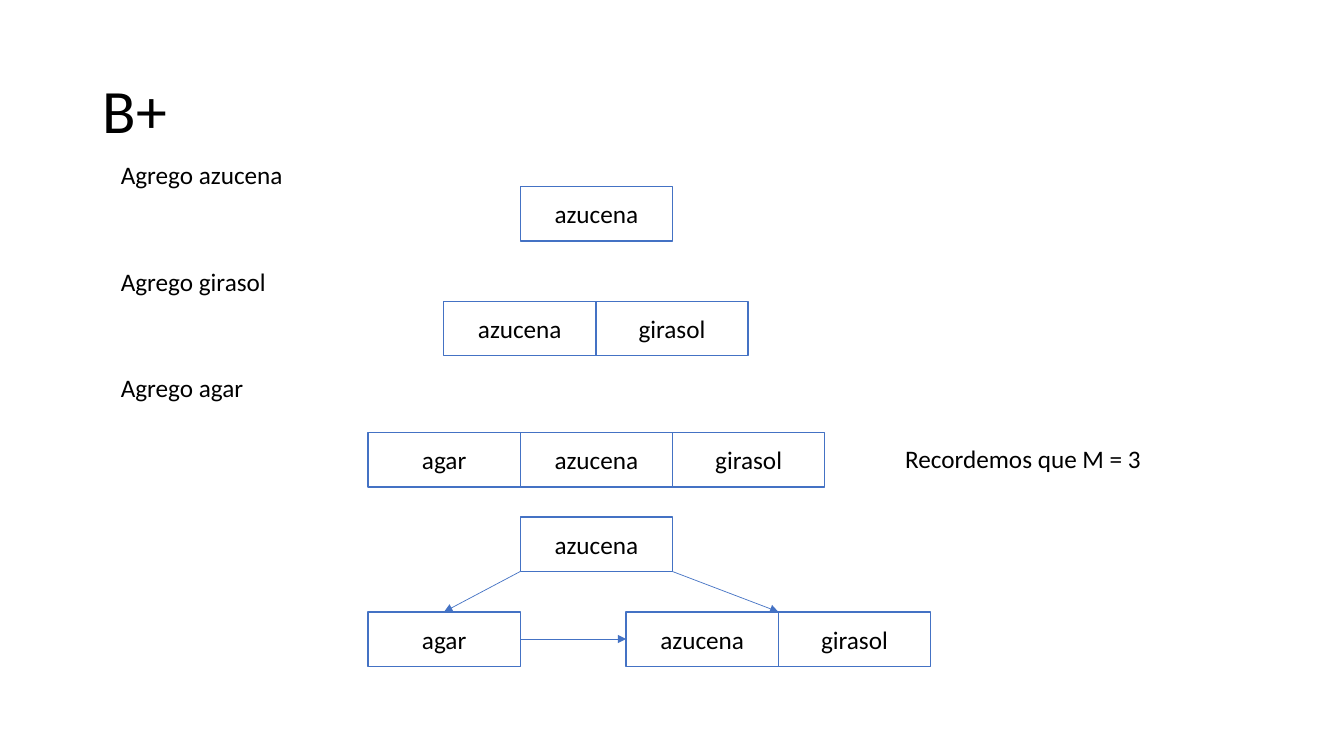
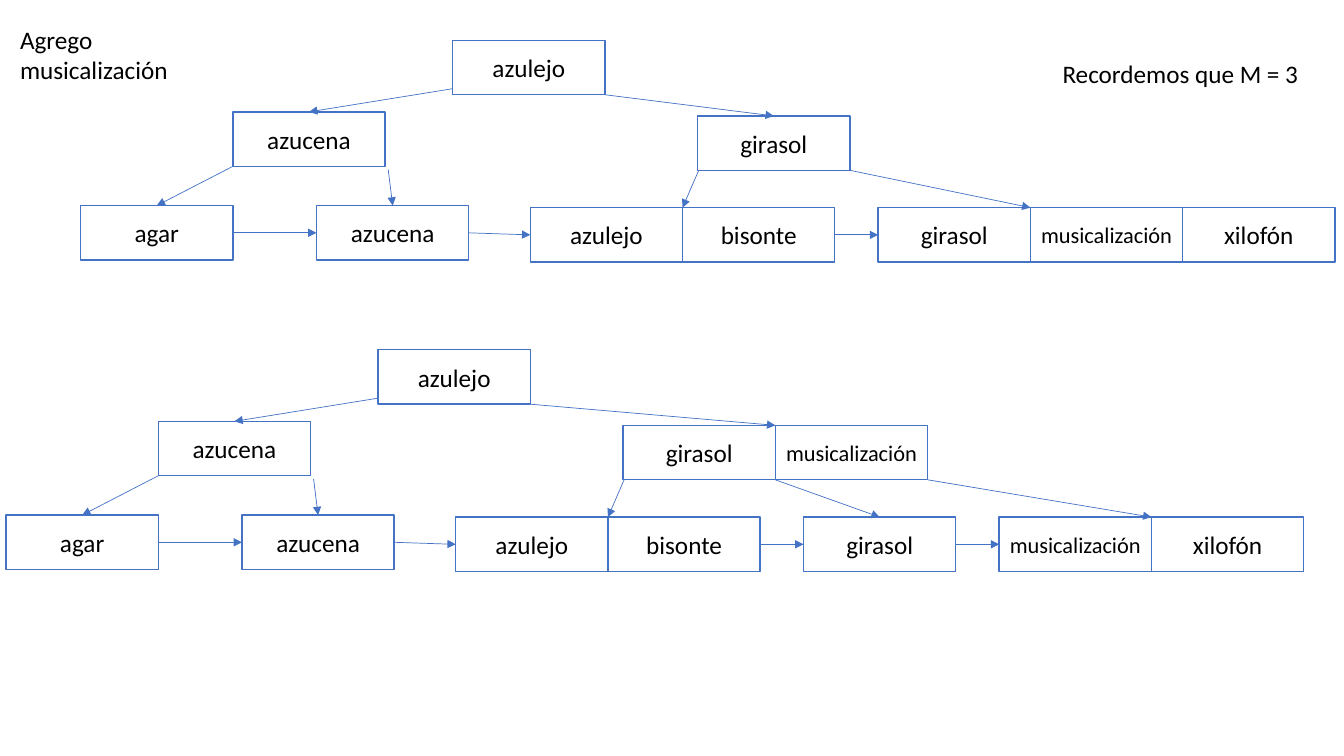
from pptx import Presentation
from pptx.dml.color import RGBColor
from pptx.enum.shapes import MSO_CONNECTOR as Connector, MSO_SHAPE as Preset
from pptx.enum.text import MSO_ANCHOR as Anchor, MSO_AUTO_SIZE as AutoSize, PP_ALIGN as Align
from pptx.oxml.ns import qn
from pptx.util import Pt
from lxml import etree

EMU_PER_PX = 9144  # 100 px to the inch
FONT, INK, PAPER, BLUE = "Calibri", "000000", "FFFFFF", "4472C4"
CELL_WIDTH, CELL_HEIGHT = 151, 54
REMINDER = "Recordemos que M = 3"

# Points of a cell; the first four are its connection sites
TOP, LEFT, BOTTOM, RIGHT, TOP_LEFT, BOTTOM_LEFT, BOTTOM_RIGHT = range(7)
SPOTS = [(0.5, 0), (0, 0.5), (0.5, 1), (1, 0.5), (0, 0), (0, 1), (1, 1)]


def px(length):
    return length * EMU_PER_PX


def color(value):
    return RGBColor.from_string(value)


def write(frame, text, size, align=Align.LEFT):
    para = frame.paragraphs[0]
    para.text = text
    para.alignment = align
    para.font.name, para.font.size = FONT, Pt(size)
    para.font.color.rgb = color(INK)
    return para


def add_title(page, text):
    title = page.shapes.title
    title.left, title.top, title.width, title.height = map(px, (92, 40, 1150, 145))
    title.text_frame.vertical_anchor = Anchor.MIDDLE
    write(title.text_frame, text, 44).line_spacing = 0.9


def add_label(page, left, top, text, width=231, height=40):
    box = page.shapes.add_textbox(*map(px, (left, top, width, height)))
    box.text_frame.word_wrap = True
    box.text_frame.auto_size = AutoSize.SHAPE_TO_FIT_TEXT
    write(box.text_frame, text, 18)


def add_node(page, left, top, *keys):
    """Draw a row of touching cells, one for each key."""
    cells = []
    for index, key in enumerate(keys):
        cell = page.shapes.add_shape(
            Preset.RECTANGLE, px(left + index * CELL_WIDTH), px(top),
            px(CELL_WIDTH), px(CELL_HEIGHT))
        cell.shadow.inherit = False
        cell.fill.solid()
        cell.fill.fore_color.rgb = color(PAPER)
        cell.line.color.rgb = color(BLUE)
        cell.line.width = Pt(1)
        frame = cell.text_frame
        frame.margin_left = frame.margin_right = px(5)
        frame.vertical_anchor = Anchor.MIDDLE
        write(frame, key, 16 if len(key) > 12 else 18, Align.CENTER)
        cells.append(cell)
    return cells


def locate(cell, spot):
    across, down = SPOTS[spot]
    return int(cell.left + across * cell.width), int(cell.top + down * cell.height)


def add_arrow(page, start, end, shift=(0, 0)):
    """Join two (cell, spot) pairs; shift moves the start off its spot."""
    x, y = locate(*start)
    line = page.shapes.add_connector(
        Connector.STRAIGHT, x + px(shift[0]), y + px(shift[1]), *locate(*end))
    for (cell, spot), connect in ((start, line.begin_connect), (end, line.end_connect)):
        if spot <= RIGHT:
            connect(cell, spot)
    line.line.color.rgb = color(BLUE)
    line.line.width = Pt(0.5)
    etree.SubElement(line.line._get_or_add_ln(), qn("a:tailEnd"), type="triangle")
    etree.SubElement(line._element.spPr, qn("a:effectLst"))


def crown(node):
    """Where an arrow from the parent lands on a node."""
    return (node[0], TOP) if len(node) == 1 else (node[1], TOP_LEFT)


def chain_leaves(page, leaves):
    for leaf, following in zip(leaves, leaves[1:]):
        add_arrow(page, (leaf[-1], RIGHT), (following[0], LEFT))


def add_small_tree(page, left, top):
    root = add_node(page, left + 151, top, "azucena")
    leaves = [add_node(page, left, top + 94, "agar"),
              add_node(page, left + 256, top + 94, "azucena", "girasol")]
    for corner, leaf in zip((BOTTOM_LEFT, BOTTOM_RIGHT), leaves):
        add_arrow(page, (root[0], corner), crown(leaf))
    chain_leaves(page, leaves)


def add_large_tree(page, left, top, right_keys, right_leaves):
    """The left half is fixed; the right node and its last leaves vary."""
    root = add_node(page, left + 369, top, "azulejo")
    left_node = add_node(page, left + 151, top + 71, "azucena")
    right_node = add_node(page, left + 612, top + 75, *right_keys)
    leaves = [add_node(page, left, top + 164, "agar"),
              add_node(page, left + 234, top + 164, "azucena"),
              add_node(page, left + 446, top + 166, "azulejo", "bisonte")]
    leaves += [add_node(page, left + offset, top + 166, *keys)
               for offset, keys in right_leaves]

    # Branches from the root
    add_arrow(page, (root[0], BOTTOM_LEFT), crown(left_node), (0, -6))
    add_arrow(page, (root[0], BOTTOM_RIGHT), crown(right_node))
    # Branches to the leaves
    add_arrow(page, (left_node[0], BOTTOM_LEFT), crown(leaves[0]))
    add_arrow(page, (left_node[0], BOTTOM_RIGHT), crown(leaves[1]), (3, 3))
    add_arrow(page, (right_node[0], BOTTOM_LEFT), crown(leaves[2]), (1, 0))
    for cell, leaf in zip(right_node, leaves[3:]):
        add_arrow(page, (cell, BOTTOM_RIGHT), crown(leaf))
    chain_leaves(page, leaves)


def build_first_insertions(deck):
    page = deck.slides.add_slide(deck.slide_layouts[5])
    add_title(page, "B+")
    for top, key in ((153, "azucena"), (259, "girasol"), (364, "agar")):
        add_label(page, 110, top, f"Agrego {key}")
    add_node(page, 516, 185, "azucena")
    add_node(page, 440, 299, "azucena", "girasol")
    add_node(page, 365, 429, "agar", "azucena", "girasol")
    add_label(page, 888, 435, REMINDER, width=264)
    add_small_tree(page, 365, 513)


def build_leaf_split(deck):
    page = deck.slides.add_slide(deck.slide_layouts[6])
    add_label(page, 10, 19, "Agrego musicalización", height=71)
    add_label(page, 1044, 53, REMINDER, width=264)
    # Overfull leaf, then the tree after the split
    add_large_tree(page, 80, 40, ["girasol"],
                   [(791, ["girasol", "musicalización", "xilofón"])])
    add_large_tree(page, 6, 347, ["girasol", "musicalización"],
                   [(791, ["girasol"]), (985, ["musicalización", "xilofón"])])


def main():
    deck = Presentation()
    deck.slide_width, deck.slide_height = px(1333), px(750)
    build_first_insertions(deck)
    build_leaf_split(deck)
    deck.save("out.pptx")


if __name__ == "__main__":
    main()
